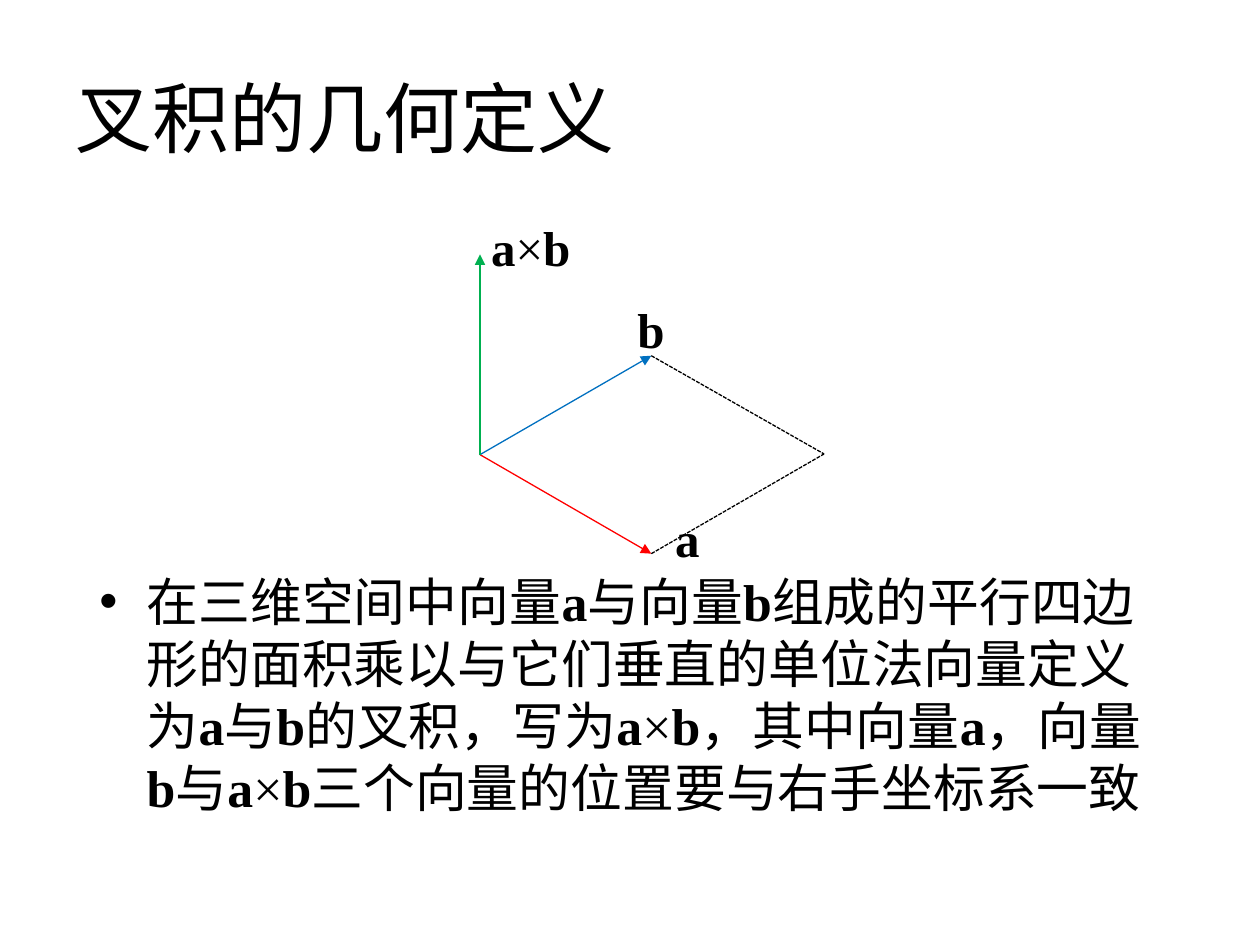
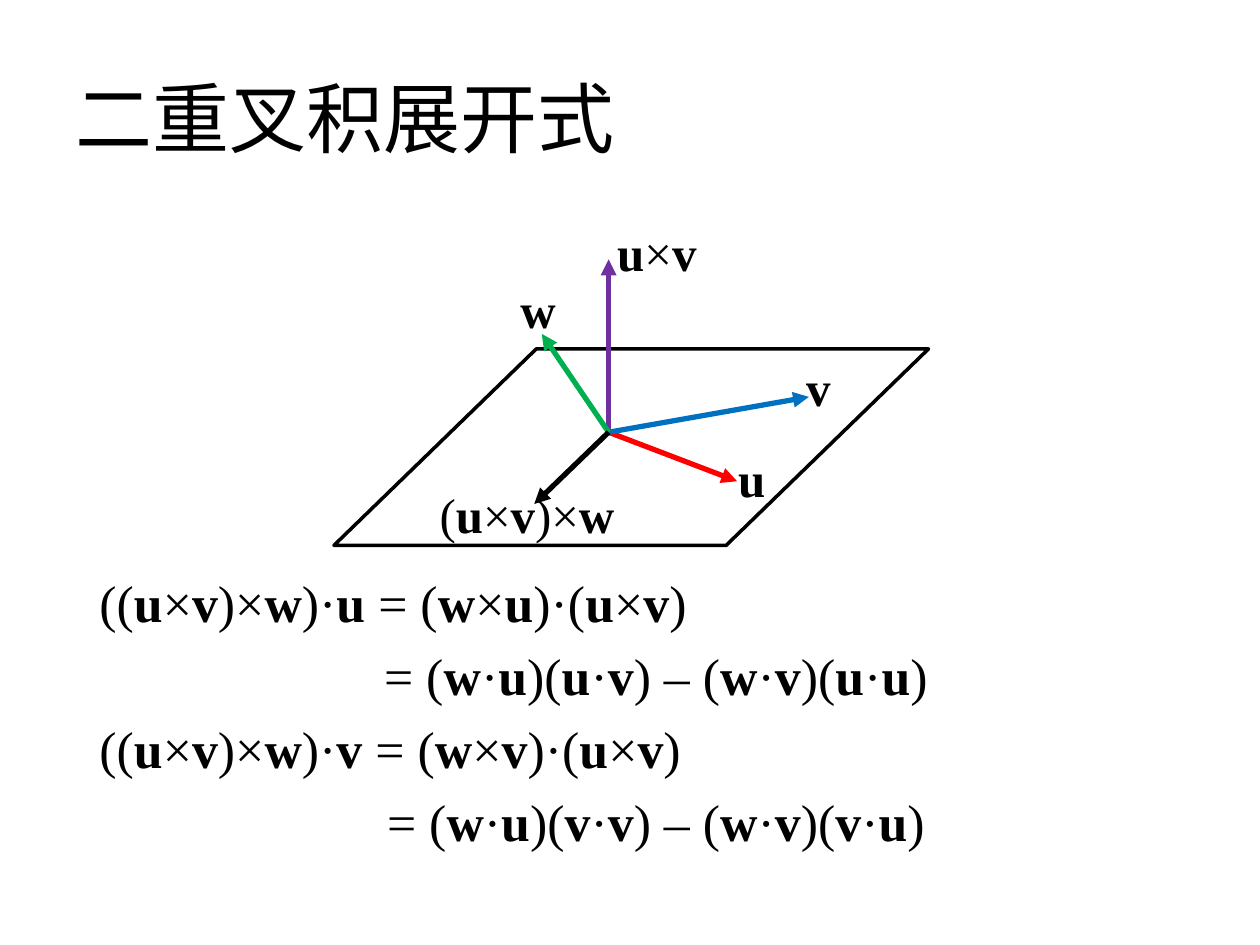
from dataclasses import dataclass
from itertools import groupby

from lxml.etree import SubElement as Sub
from pptx import Presentation
from pptx.dml.color import RGBColor as RGB
from pptx.enum.dml import MSO_LINE as Dash
from pptx.enum.shapes import MSO_CONNECTOR as Conn, MSO_SHAPE as Form
from pptx.enum.text import MSO_ANCHOR as Anchor, MSO_AUTO_SIZE as Auto, PP_ALIGN as Align
from pptx.oxml.ns import qn
from pptx.util import Pt


@dataclass(frozen=True)
class Theme:
    black: str = "000000"
    white: str = "FFFFFF"
    red: str = "FF0000"
    blue: str = "0070C0"
    green: str = "00B050"
    violet: str = "7030A0"
    serif: str = "Times New Roman"
    sans: str = "Noto Sans CJK SC"
    title: float = 44
    body: float = 29.6
    label: float = 28
    pitch: float = 35.4
    gap: float = 6.3


def is_vector(char):
    return char.isascii() and char.isalpha()


def write(para, text, font, east, size, color, align=Align.LEFT):
    """Write text with vector names in bold."""
    para.alignment = align
    for bold, chars in groupby(text, is_vector):
        run = para.add_run()
        run.text = "".join(chars)
        run.font.name, run.font.size, run.font.bold = font, Pt(size), bold
        run.font.color.rgb = RGB.from_string(color)
        Sub(run.font._element, qn("a:ea"), typeface=east)


class Deck:
    def __init__(self, theme):
        self.theme = theme
        self.file = Presentation()
        self.file.slide_width, self.file.slide_height = Pt(720), Pt(540)
        self.slide = None

    def start(self, title):
        """Add a slide and its title."""
        self.slide = self.file.slides.add_slide(self.file.slide_layouts[5])
        head = self.slide.shapes.title
        head.left, head.top, head.width, head.height = Pt(36), Pt(21.6), Pt(648), Pt(90)
        head.text_frame.vertical_anchor = Anchor.MIDDLE
        t = self.theme
        write(head.text_frame.paragraphs[0], title, t.sans, t.sans, t.title, t.black)

    def box(self, left, top, width, height):
        return self.slide.shapes.add_textbox(Pt(left), Pt(top), Pt(width), Pt(height)).text_frame

    def body(self, top, lines, bullet=False):
        """Add body lines; those that begin with = are centred."""
        t = self.theme
        frame = self.box(49.7, top, 620.6, 166.3)
        frame.word_wrap = True
        frame.margin_top = Pt(6)
        for i, line in enumerate(lines):
            para = frame.add_paragraph() if i else frame.paragraphs[0]
            para.line_spacing, para.space_after = Pt(t.pitch), Pt(t.gap)
            mid = line.startswith("=")
            write(para, line, t.serif, t.sans, t.body, t.black,
                  align=Align.CENTER if mid else Align.LEFT)
            props = para._p.get_or_add_pPr()
            if mid:
                props.set("marL", str(Pt(t.body)))
            if bullet:
                props.set("marL", str(Pt(27)))
                props.set("indent", str(Pt(-27)))
                Sub(props, qn("a:buFont"), typeface="Arial")
                Sub(props, qn("a:buChar"), char="•")

    def label(self, text, left, top, width):
        t = self.theme
        frame = self.box(left, top, width, 41)
        frame.word_wrap = False
        frame.auto_size = Auto.SHAPE_TO_FIT_TEXT
        write(frame.paragraphs[0], text, t.serif, t.sans, t.label, t.black)

    def line(self, start, end, color, width, dash=None, arrow=True):
        link = self.slide.shapes.add_connector(
            Conn.STRAIGHT, *(Pt(n) for n in (*start, *end)))
        link.line.color.rgb = RGB.from_string(color)
        link.line.width = Pt(width)
        if dash:
            link.line.dash_style = dash
        if arrow:
            Sub(link.line._get_or_add_ln(), qn("a:tailEnd"), type="triangle")
        Sub(link._element.spPr, qn("a:effectLst"))

    def plane(self, left, top, width, height, slant):
        shape = self.slide.shapes.add_shape(
            Form.PARALLELOGRAM, Pt(left), Pt(top), Pt(width), Pt(height))
        shape.adjustments[0] = slant
        shape.shadow.inherit = False
        shape.fill.solid()
        shape.fill.fore_color.rgb = RGB.from_string(self.theme.white)
        shape.line.color.rgb = RGB.from_string(self.theme.black)
        shape.line.width = Pt(2)


def cross(deck):
    """Geometric definition of the cross product."""
    t = deck.theme
    deck.start("叉积的几何定义")
    deck.body(319.7, ["在三维空间中向量a与向量b组成的平行四边形的面积乘以与它们垂直的"
                      "单位法向量定义为a与b的叉积，写为a×b，其中向量a，向量b与a×b"
                      "三个向量的位置要与右手坐标系一致"], bullet=True)
    # Vectors and the sides that close the rhombus
    base, far = (274.3, 259.8), (470.9, 259.4)
    a, b, normal = (372.2, 316.4), (372.2, 203.3), (274.3, 145.4)
    for tip, color in ((a, t.red), (b, t.blue), (normal, t.green)):
        deck.line(base, tip, color, 0.75)
    for tip in (b, a):
        deck.line(tip, far, t.black, 0.75, dash=Dash.SQUARE_DOT, arrow=False)
    # Names
    deck.label("b", 357.1, 167.8, 30.2)
    deck.label("a", 378.7, 287.3, 28.8)
    deck.label("a×b", 273.6, 121, 64.1)


def triple(deck):
    """Expansion of the double cross product."""
    t = deck.theme
    deck.start("二重叉积展开式")
    deck.body(320.4, ["((u×v)×w)·u = (w×u)·(u×v)",
                      "= (w·u)(u·v) – (w·v)(u·u)",
                      "((u×v)×w)·v = (w×v)·(u×v)",
                      "= (w·u)(v·v) – (w·v)(v·u)"])
    deck.plane(190.8, 199.4, 339.8, 112.3, 1.03)
    # Vectors from one base
    base = (347.8, 247)
    for tip, color in (((421.2, 275), t.red), ((462.2, 226.8), t.blue),
                       ((347.8, 148.3), t.violet), ((309.6, 190.8), t.green),
                       ((305.3, 288), t.black)):
        deck.line(base, tip, color, 3)
    # Names
    for text, left, top, width in (("u", 414.7, 252.7, 30.2), ("v", 453.6, 200.9, 28.8),
                                   ("u×v", 345.6, 123.8, 64.1), ("w", 290.2, 156.2, 35.3),
                                   ("(u×v)×w", 244.1, 273.6, 122.4)):
        deck.label(text, left, top, width)


def main():
    deck = Deck(Theme())
    cross(deck)
    triple(deck)
    deck.file.save("out.pptx")


if __name__ == "__main__":
    main()
